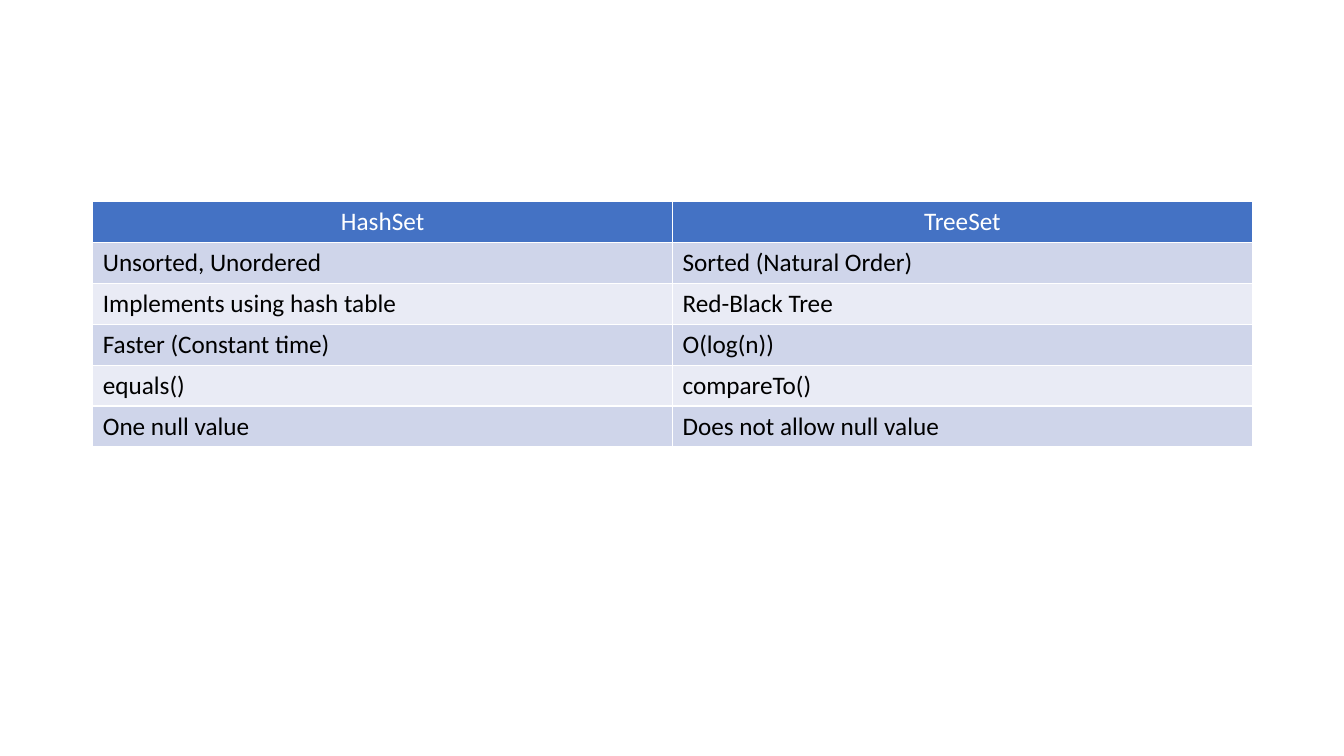
from pptx import Presentation
from pptx.dml.color import RGBColor as RGB
from pptx.enum.text import PP_ALIGN as Align
from pptx.util import Inches, Pt

ROWS = [
    ("HashSet", "TreeSet"),
    ("Unsorted, Unordered", "Sorted (Natural Order)"),
    ("Implements using hash table", "Red-Black Tree"),
    ("Faster (Constant time)", "O(log(n))"),
    ("equals()", "compareTo()"),
    ("One null value", "Does not allow null value"),
]
HEAD = "4472C4"
BANDS = ("E9EBF5", "CFD5EA")
LEFT, TOP, WIDTH, HEIGHT = 0.92, 2, 11.5, 2.43


def paint(fill, color):
    fill.solid()
    fill.fore_color.rgb = RGB.from_string(color)


def write(frame, text, size=18, color="000000", align=Align.LEFT):
    para = frame.paragraphs[0]
    para.alignment = align
    run = para.add_run()
    run.text = text
    run.font.name = "Calibri"
    run.font.size = Pt(size)
    run.font.bold = False
    paint(run.font.fill, color)


def main():
    deck = Presentation()
    deck.slide_width, deck.slide_height = Inches(13.33), Inches(7.5)
    slide = deck.slides.add_slide(deck.slide_layouts[6])
    table = slide.shapes.add_table(
        len(ROWS), len(ROWS[0]),
        Inches(LEFT), Inches(TOP), Inches(WIDTH), Inches(HEIGHT),
    ).table
    for i, row in enumerate(ROWS):
        for j, text in enumerate(row):
            cell = table.cell(i, j)
            if i == 0:
                paint(cell.fill, HEAD)
                write(cell.text_frame, text, color="FFFFFF", align=Align.CENTER)
            else:
                paint(cell.fill, BANDS[i % 2])
                write(cell.text_frame, text)
    deck.save("out.pptx")


if __name__ == "__main__":
    main()
